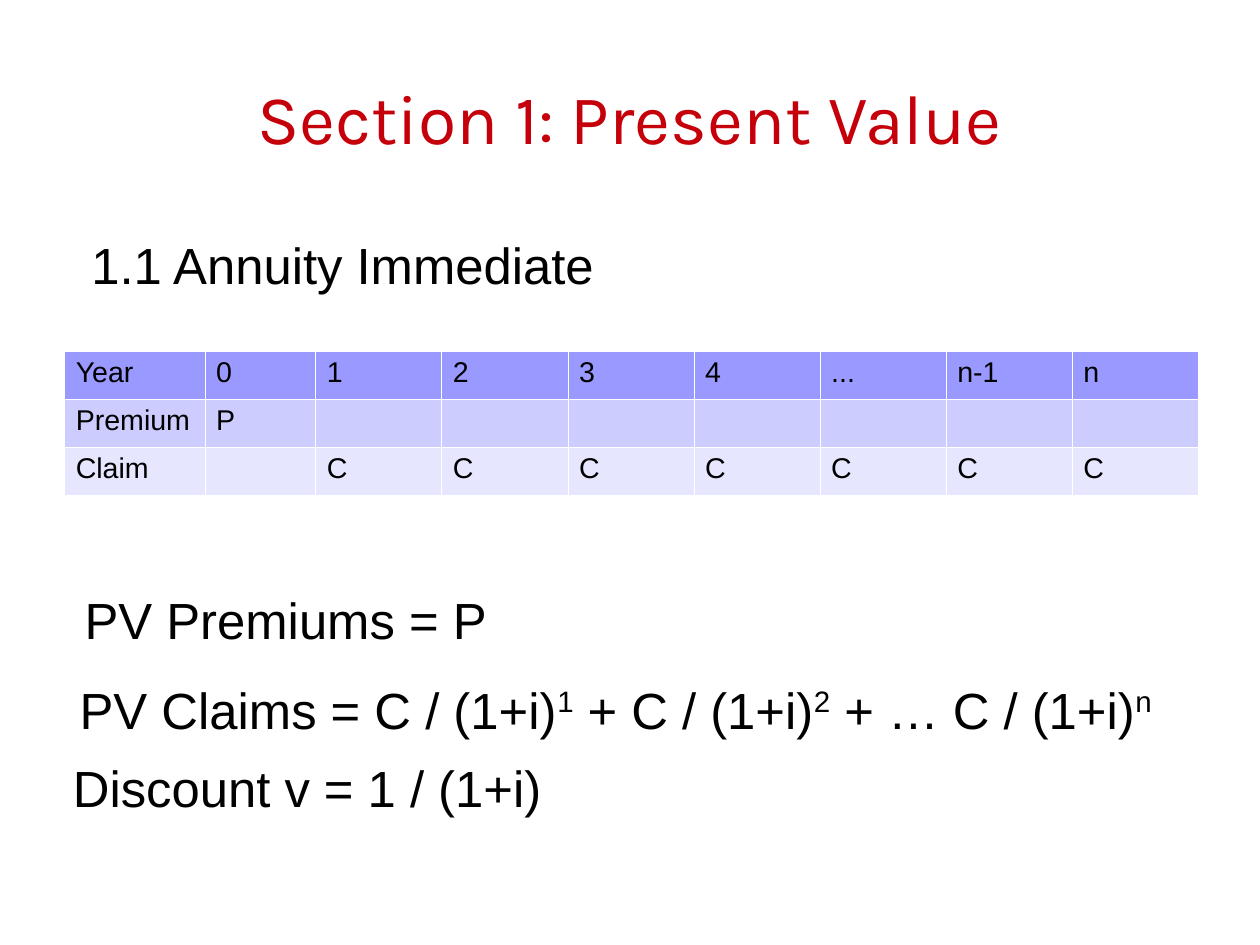
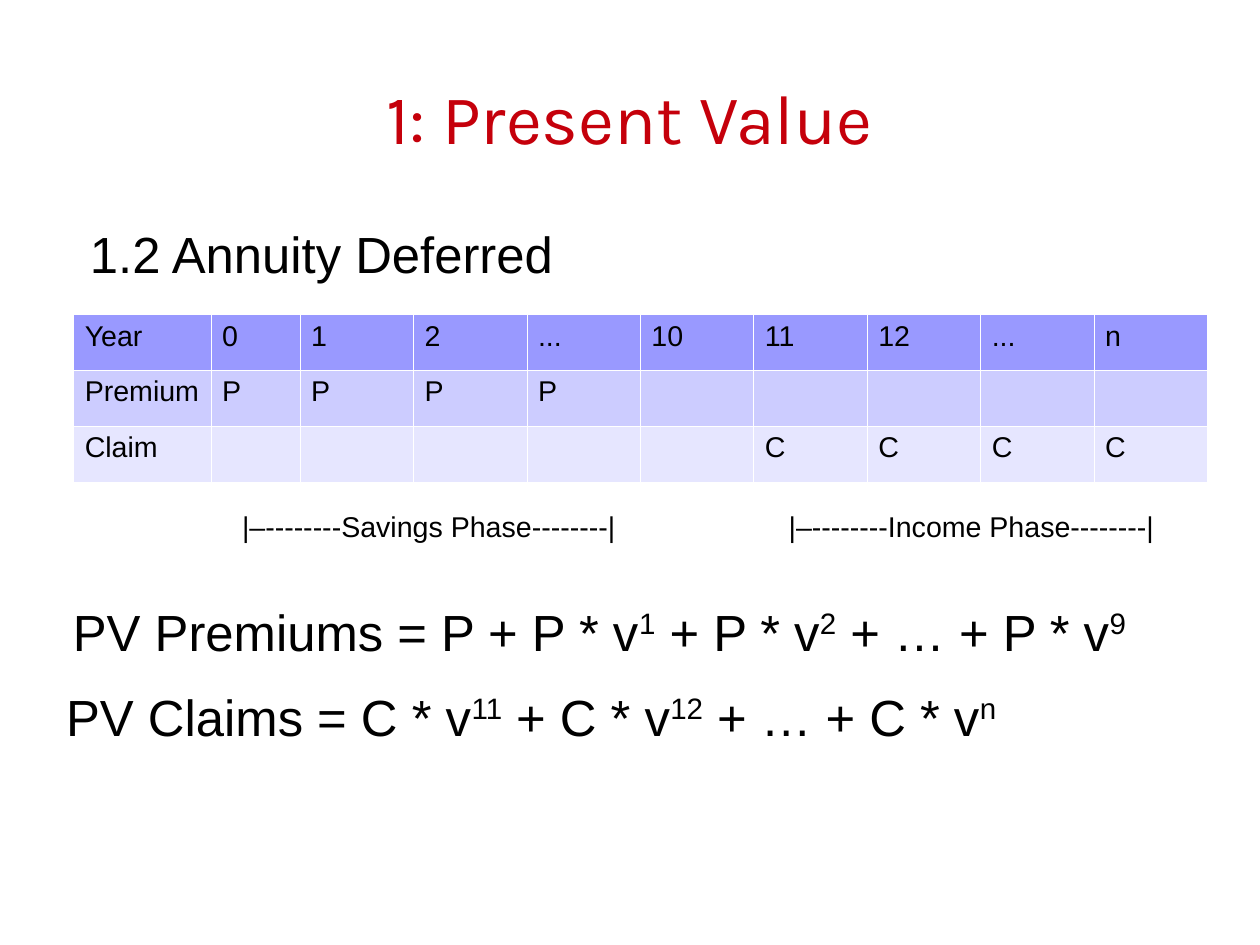
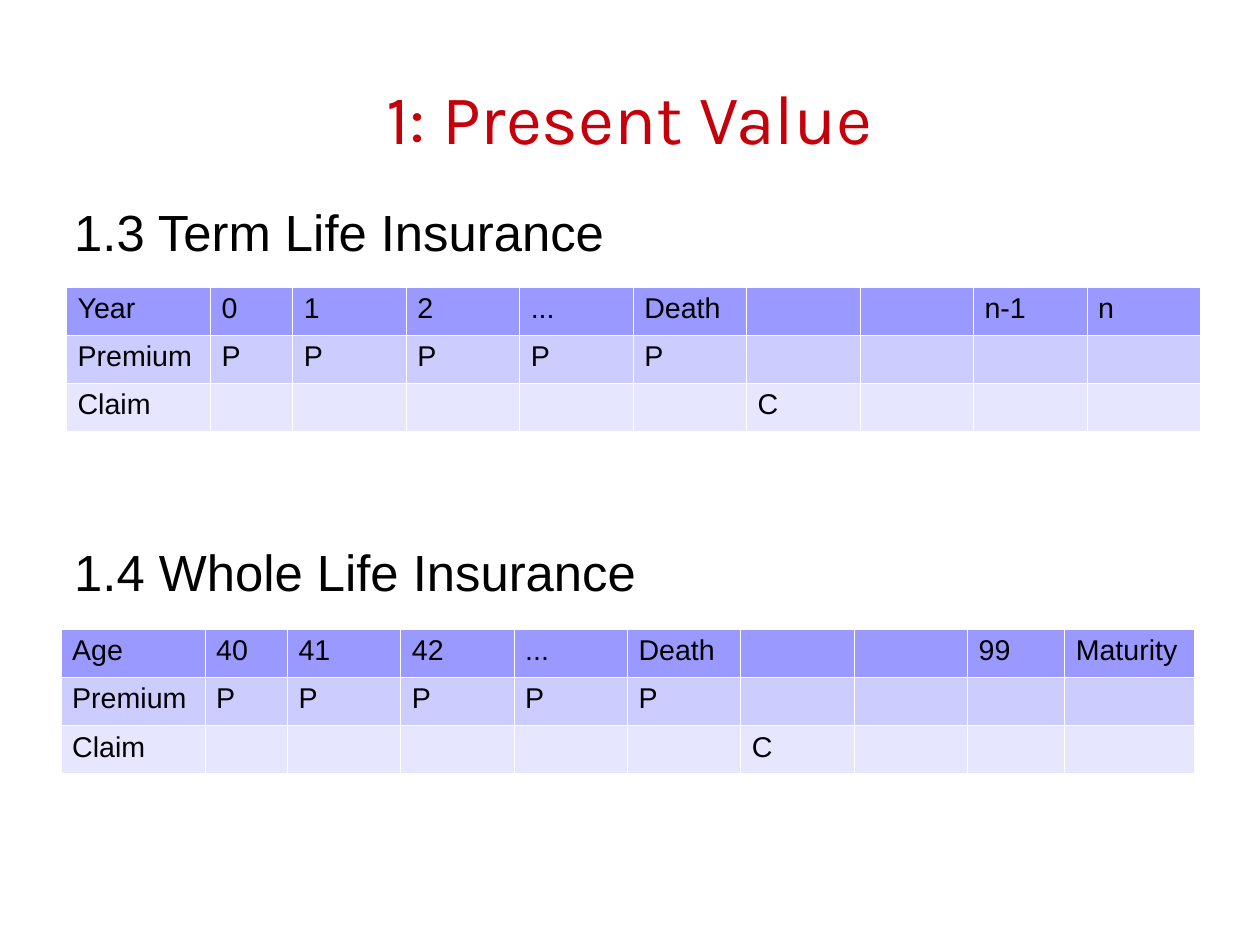
import pptx
import pptx.dml.color
import pptx.enum.text
import pptx.oxml
import pptx.oxml.ns
import pptx.util
from lxml import etree

Cm = pptx.util.Cm
Pt = pptx.util.Pt
RGBColor = pptx.dml.color.RGBColor
PP_ALIGN = pptx.enum.text.PP_ALIGN
MSO_ANCHOR = pptx.enum.text.MSO_ANCHOR
qn = pptx.oxml.ns.qn

RED = RGBColor(0xC5, 0x00, 0x0B)
BLACK = RGBColor(0x00, 0x00, 0x00)
WHITE = RGBColor(0xFF, 0xFF, 0xFF)
ROW_FILLS = (
    RGBColor(0x99, 0x99, 0xFF),
    RGBColor(0xCC, 0xCC, 0xFF),
    RGBColor(0xE6, 0xE6, 0xFF),
)

TITLE_FONT = "Karla"
BODY_FONT = "Arial"
CONTENT_WIDTH = 25.2
BORDER_WIDTH = Pt(0.06)
SUPERSCRIPT = "33000"


def style_paragraph(paragraph, size, name=BODY_FONT, color=BLACK, align=PP_ALIGN.LEFT):
    paragraph.alignment = align
    paragraph.font.size = Pt(size)
    paragraph.font.name = name
    paragraph.font.color.rgb = color


def add_text(slide, text, left, top, width, height=1.52, size=32, **style):
    """Add a one-paragraph text box; parts between ^ marks are superscript."""
    box = slide.shapes.add_textbox(Cm(left), Cm(top), Cm(width), Cm(height))
    frame = box.text_frame
    frame.word_wrap = True
    paragraph = frame.paragraphs[0]
    style_paragraph(paragraph, size, **style)
    for index, part in enumerate(text.split("^")):
        if part:
            run = paragraph.add_run()
            run.text = part
            if index % 2:
                run._r.get_or_add_rPr().set("baseline", SUPERSCRIPT)
    return frame


def add_titled_slide(deck, title):
    slide = deck.slides.add_slide(deck.slide_layouts[6])
    frame = add_text(slide, title, 1.4, 0.84, CONTENT_WIDTH, 3.5, size=44,
                     name=TITLE_FONT, color=RED, align=PP_ALIGN.CENTER)
    frame.vertical_anchor = MSO_ANCHOR.MIDDLE
    frame.margin_left = frame.margin_right = 0
    frame.margin_top = frame.margin_bottom = 0
    return slide


def set_borders(cell):
    properties = cell._tc.get_or_add_tcPr()
    for position, side in enumerate(("a:lnL", "a:lnR", "a:lnT", "a:lnB")):
        line = etree.Element(qn(side), w=str(BORDER_WIDTH))
        fill = etree.SubElement(line, qn("a:solidFill"))
        etree.SubElement(fill, qn("a:srgbClr"), val=str(WHITE))
        properties.insert(position, line)


def column_widths(count, leading, trailing=()):
    """Share the width left by the leading and trailing columns equally."""
    shared = count - len(leading) - len(trailing)
    equal = (CONTENT_WIDTH - sum(leading) - sum(trailing)) / shared
    return [*leading, *[equal] * shared, *trailing]


def add_cash_flow(slide, left, top, periods, premiums, claims, leading,
                  trailing=(), row_height=1.07):
    """Add a timeline table; premiums and claims list the period columns filled."""
    count = len(periods)
    rows = (
        periods,
        ["Premium"] + ["P" if column in premiums else "" for column in range(1, count)],
        ["Claim"] + ["C" if column in claims else "" for column in range(1, count)],
    )
    table = slide.shapes.add_table(
        len(rows), count, Cm(left), Cm(top),
        Cm(CONTENT_WIDTH), Cm(row_height * len(rows))).table
    table.first_row = False
    table.horz_banding = False
    for column, width in zip(table.columns, column_widths(count, leading, trailing)):
        column.width = Cm(width)
    for row, texts, fill in zip(table.rows, rows, ROW_FILLS):
        row.height = Cm(row_height)
        for cell, text in zip(row.cells, texts):
            cell.text = text
            style_paragraph(cell.text_frame.paragraphs[0], 18)
            cell.fill.solid()
            cell.fill.fore_color.rgb = fill
            set_borders(cell)


def add_annuity_immediate(deck):
    slide = add_titled_slide(deck, "Section 1: Present Value")
    add_cash_flow(slide, 1.43, 7.8,
                  ["Year", "0", "1", "2", "3", "4", "...", "n-1", "n"],
                  premiums=[1], claims=range(2, 9), leading=(3.12, 2.46))
    add_text(slide, "1.1 Annuity Immediate", 1.78, 5.08, 16)
    add_text(slide, "PV Premiums = P", 1.63, 12.95, 9.9)
    add_text(slide, "PV Claims = C / (1+i)^1^ + C / (1+i)^2^ + … C / (1+i)^n^",
             1.52, 14.96, 24.82, 1.8)
    add_text(slide, "Discount v = 1 / (1+i)", 1.37, 16.69, 18.14, 1.9)


def add_annuity_deferred(deck):
    slide = add_titled_slide(deck, "1: Present Value")
    add_cash_flow(slide, 1.63, 6.99,
                  ["Year", "0", "1", "2", "...", "10", "11", "12", "...", "n"],
                  premiums=range(1, 5), claims=range(6, 10),
                  leading=(3.05, 1.98), row_height=1.24)
    add_text(slide, "1.2 Annuity Deferred", 1.75, 4.83, 16.26)
    add_text(slide, "PV Premiums = P + P * v^1^ + P * v^2^ + … + P * v^9^",
             1.37, 13.23, 25.15)
    add_text(slide, "PV Claims = C * v^11^ + C * v^12^ + … + C * v^n^",
             1.22, 15.11, 25.4, 1.8)
    for phase, left, width in (("Savings", 4.83, 9.4), ("Income", 17.02, 9.14)):
        add_text(slide, f"|–--------{phase} Phase--------|", left, 11.18, width,
                 0.97, size=18, align=PP_ALIGN.CENTER)


def add_life_insurance(deck):
    slide = add_titled_slide(deck, "1: Present Value")
    add_text(slide, "1.3 Term Life Insurance", 1.4, 4.34, 17.15)
    add_cash_flow(slide, 1.47, 6.37,
                  ["Year", "0", "1", "2", "...", "Death", "", "", "n-1", "n"],
                  premiums=range(1, 6), claims=[6], leading=(3.2, 1.83))
    add_text(slide, "1.4 Whole Life Insurance", 1.4, 11.89, 17.15)
    add_cash_flow(slide, 1.35, 13.98,
                  ["Age", "40", "41", "42", "...", "Death", "", "", "99", "Maturity"],
                  premiums=range(1, 6), claims=[6],
                  leading=(3.2, 1.83), trailing=(2.16, 2.89))


def main():
    deck = pptx.Presentation()
    deck.slide_width = Cm(28)
    deck.slide_height = Cm(21)
    add_annuity_immediate(deck)
    add_annuity_deferred(deck)
    add_life_insurance(deck)
    deck.save("out.pptx")


if __name__ == "__main__":
    main()
